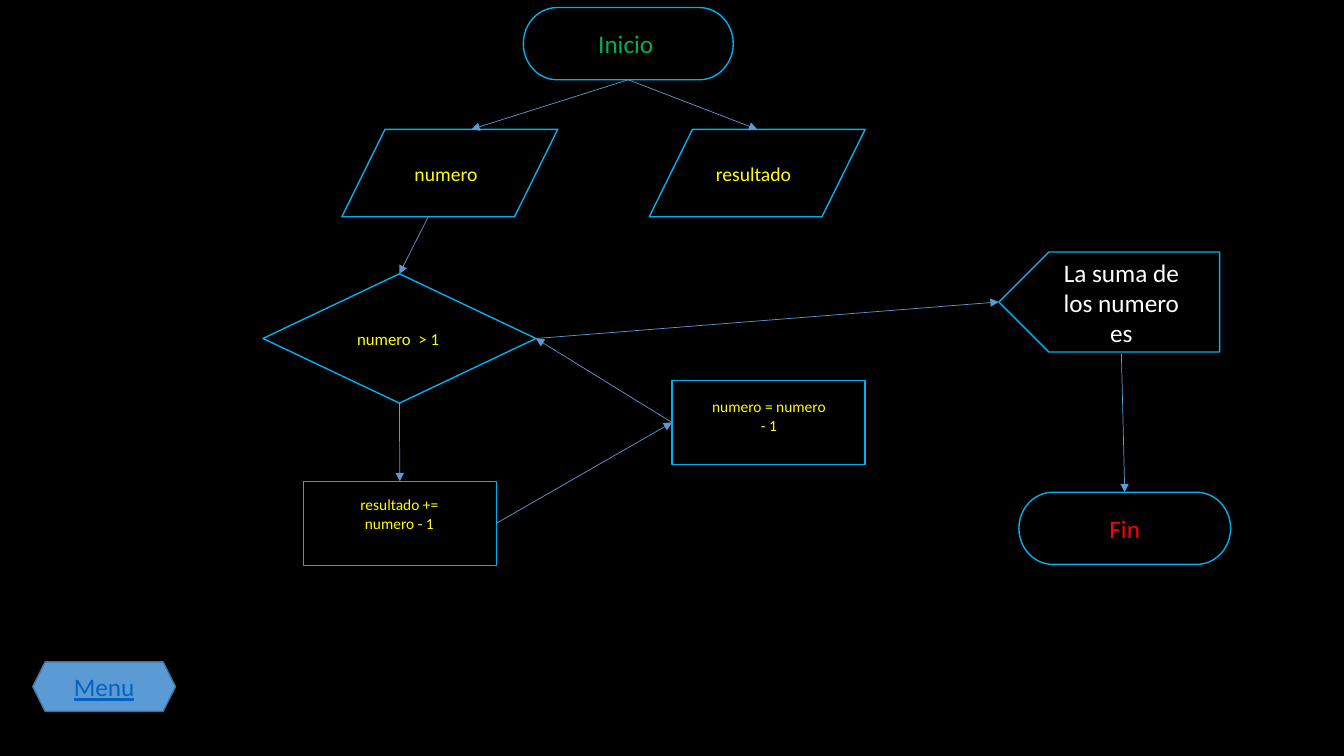
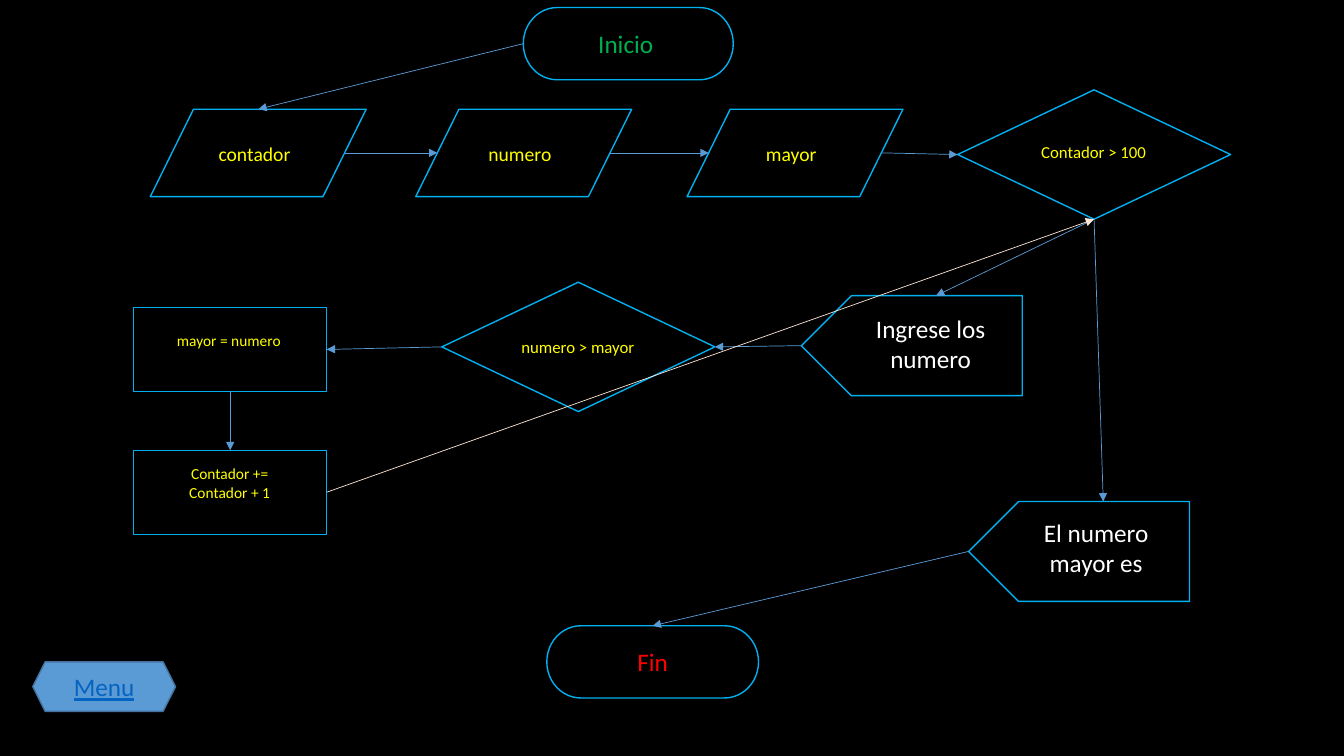
from dataclasses import dataclass
from lxml.etree import SubElement as Sub
from pptx import Presentation
from pptx.dml.color import RGBColor as Rgb
from pptx.enum.shapes import MSO_CONNECTOR as Wire, MSO_SHAPE as Form
from pptx.enum.text import MSO_ANCHOR as Anchor, PP_ALIGN as Align
from pptx.oxml.ns import qn
from pptx.util import Inches, Pt


@dataclass(frozen=True)
class Theme:
    font: str = "Calibri"
    back: str = "000000"
    edge: str = "00B0F0"
    wire: str = "5B9BD5"
    loop: str = "FBE5D6"
    rim: str = "43739E"
    link: str = "0563C1"
    start: str = "00B050"
    stop: str = "FF0000"
    code: str = "FFFF00"
    note: str = "FFFFFF"
    big: int = 18
    mid: int = 14
    low: int = 12
    tiny: int = 11


T = Theme()
deck = Presentation()
deck.slide_width, deck.slide_height = Inches(13.33), Inches(7.5)
COL, ROW = deck.slide_width / 160, deck.slide_height / 90

ground = deck.slide_master.background.fill
ground.solid()
ground.fore_color.rgb = Rgb.from_string(T.back)

BOX = {"top": (0, 0.5, 0), "left": (1, 0, 0.5),
       "base": (2, 0.5, 1), "right": (3, 1, 0.5)}
SKEW = {"top": (0, 0.6, 0), "mid": (1, 0.5, 0), "left": (2, 0.1, 0.5),
        "base": (3, 0.4, 1), "right": (5, 0.9, 0.5)}
TAG = {"top": (2, 0.61, 0), "left": (3, 0, 0.5)}

KINDS = {
    "start": (Form.FLOWCHART_TERMINATOR, (25, 8.6), (2.8, 1.9, 18.8, 4.8), T.big, T.start, BOX),
    "stop": (Form.FLOWCHART_TERMINATOR, (25.2, 8.6), (3.2, 1.8, 18.8, 4.8), T.big, T.stop, BOX),
    "data": (Form.FLOWCHART_DATA, (25.7, 10.4), (2.4, 3.3, 20, 4.1), T.mid, T.code, SKEW),
    "test": (Form.FLOWCHART_DECISION, (32.5, 15.4), (6.8, 5.9, 18.8, 3.6), T.low, T.code, BOX),
    "step": (Form.RECTANGLE, (23, 10), (3.1, 1.2, 16.7, 5.6), T.tiny, T.code, BOX),
    "show": (Form.PENTAGON, (26.3, 11.9), (5.2, 0, 18.8, 12.1), T.big, T.note, TAG),
}

FLOWS = [
    ([("start", "start", "Inicio", 62.3, 0.9, 0, 0),
      ("stop", "stop", "Fin", 121.3, 58.6, 0, 0.1),
      ("num", "data", "numero", 40.7, 15.4, 0, 0),
      ("sum", "data", "resultado", 77.3, 15.4, 0, 0),
      ("test", "test", "numero  > 1", 31.3, 32.6, -0.1, 0),
      ("add", "step", "resultado += numero - 1", 36.1, 57.3, 0, -0.1),
      ("less", "step", "numero = numero - 1", 80, 45.3, 0.1, 0.2),
      ("show", "show", "La suma de los numero es", 118.9, 30, 0, 0)],
     [("start", "base", "num", "top", T.wire),
      ("start", "base", "sum", "mid", T.wire),
      ("num", "base", "test", "top", T.wire),
      ("test", "base", "add", "top", T.wire),
      ("add", "right", "less", "left", T.wire),
      ("less", "left", "test", "right", T.wire),
      ("test", "right", "show", "left", T.wire),
      ("show text", "base", "stop", "top", T.wire)]),
    ([("start", "start", "Inicio", 62.3, 0.9, 0, 0),
      ("stop", "stop", "Fin", 65.1, 74.5, 0, 0),
      ("count", "data", "contador", 17.9, 13, 0, 0),
      ("num", "data", "numero", 49.5, 13, 0, 0),
      ("max", "data", "mayor", 81.8, 13, 0, 0),
      ("loop", "test", "Contador > 100", 114, 10.7, 0, -0.3),
      ("add", "step", "Contador += Contador + 1", 15.9, 53.6, 0, -0.1),
      ("set", "step", "mayor = numero", 15.9, 36.6, -0.1, 1),
      ("test", "test", "numero > mayor", 52.6, 33.6, 0, 0),
      ("ask", "show", "Ingrese los numero", 95.4, 35.2, 0.8, 1.5),
      ("show", "show", "El numero mayor es", 115.3, 59.7, 0.6, 1.3)],
     [("start", "left", "count", "mid", T.wire),
      ("count", "right", "num", "left", T.wire),
      ("num", "right", "max", "left", T.wire),
      ("max", "right", "loop", "left", T.wire),
      ("loop", "base", "ask", "top", T.wire),
      ("ask", "left", "test", "right", T.wire),
      ("test", "left", "set", "right", T.wire),
      ("set", "base", "add", "top", T.wire),
      ("add", "right", "loop", "base", T.loop),
      ("loop", "base", "show", "top", T.wire),
      ("show", "left", "stop", "top", T.wire)]),
]


def place(x, y, w, h):
    return round(x * COL), round(y * ROW), round(w * COL), round(h * ROW)


def write(shape, text, size, tint, **more):
    frame = shape.text_frame
    frame.word_wrap = True
    para = frame.paragraphs[0]
    para.alignment = Align.CENTER
    run = para.add_run()
    run.text = text
    look = {"name": T.font, "size": Pt(size), **more}
    for key, value in look.items():
        setattr(run.font, key, value)
    run.font.color.rgb = Rgb.from_string(tint)


for nodes, wires in FLOWS:
    slide = deck.slides.add_slide(deck.slide_layouts[6])
    shapes = slide.shapes
    spots = {}

    for name, kind, text, x, y, dx, dy in nodes:
        form, (w, h), (left, top, wide, high), size, tint, sites = KINDS[kind]
        node = shapes.add_shape(form, *place(x, y, w, h))
        node.shadow.inherit = False
        node.fill.background()
        node.line.color.rgb = Rgb.from_string(T.edge)
        node.line.width = Pt(1)
        if kind == "show":
            node.rotation = 180
        label = shapes.add_textbox(*place(x + left + dx, y + top + dy, wide, high))
        write(label, text, size, tint)
        spots[name] = node, sites
        spots[name + " text"] = label, BOX

    menu = shapes.add_shape(Form.HEXAGON, *place(3.9, 78.8, 17, 5.9))
    menu.shadow.inherit = False
    menu.fill.solid()
    menu.fill.fore_color.rgb = Rgb.from_string(T.wire)
    menu.line.color.rgb = Rgb.from_string(T.rim)
    menu.line.width = Pt(1)
    menu.text_frame.vertical_anchor = Anchor.MIDDLE
    write(menu, "Menu", T.big, T.link, underline=True)

    for tail, leave, head, enter, tint in wires:
        ends = []
        for name, side in ((tail, leave), (head, enter)):
            node, sites = spots[name]
            site, across, down = sites[side]
            ends.append((node, site, round(node.left + across * node.width),
                         round(node.top + down * node.height)))
        wire = shapes.add_connector(Wire.STRAIGHT, *ends[0][2:], *ends[1][2:])
        wire.line.color.rgb = Rgb.from_string(tint)
        wire.line.width = Pt(0.5)
        body = wire._element
        Sub(body.spPr.find(qn("a:ln")), qn("a:tailEnd"), type="triangle")
        Sub(body.spPr, qn("a:effectLst"))
        joint = body.find(qn("p:nvCxnSpPr")).find(qn("p:cNvCxnSpPr"))
        for tag, (node, site, *_) in zip(("a:stCxn", "a:endCxn"), ends):
            Sub(joint, qn(tag), id=str(node.shape_id), idx=str(site))

deck.save("out.pptx")
